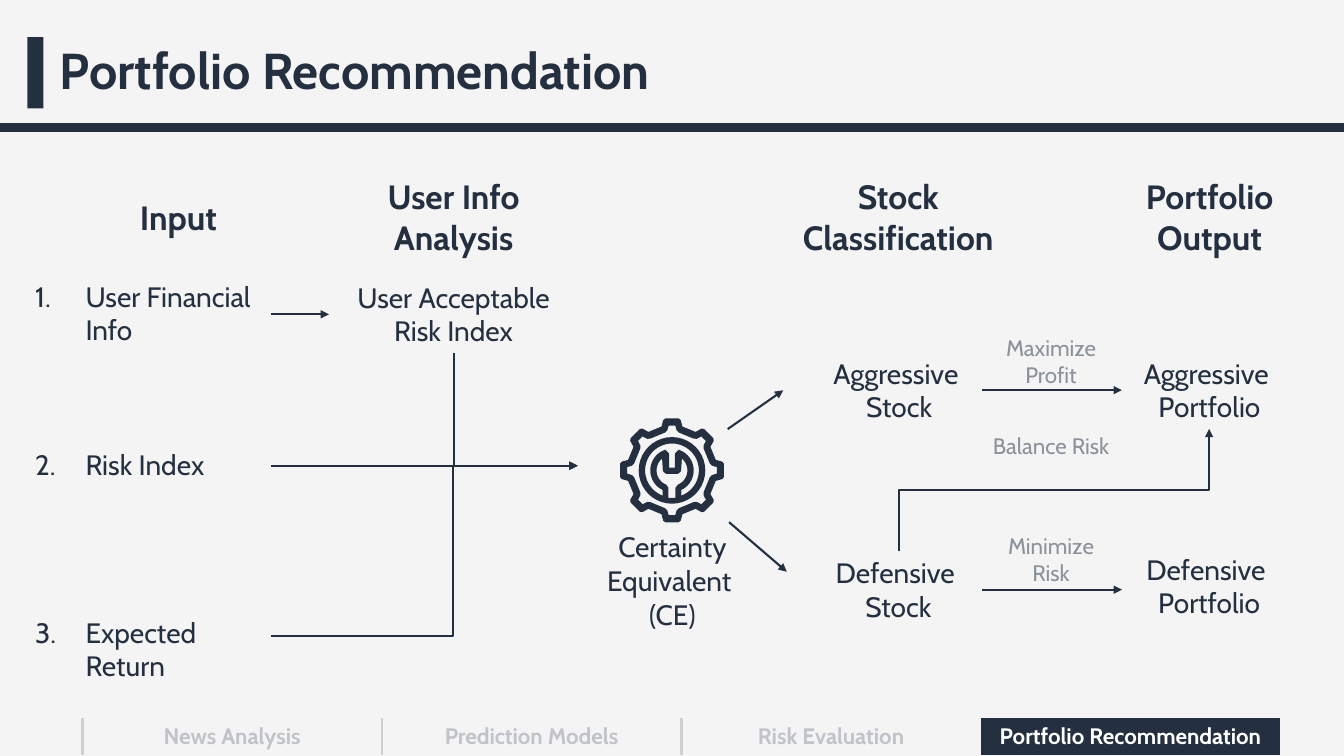
from math import cos, radians, sin

from lxml import etree
from pptx import Presentation
from pptx.dml.color import RGBColor
from pptx.enum.shapes import MSO_CONNECTOR, MSO_SHAPE
from pptx.enum.text import MSO_ANCHOR, MSO_AUTO_SIZE, PP_ALIGN
from pptx.oxml.ns import qn
from pptx.util import Pt

STRAIGHT, ELBOW = MSO_CONNECTOR.STRAIGHT, MSO_CONNECTOR.ELBOW
LEFT, CENTER = PP_ALIGN.LEFT, PP_ALIGN.CENTER
MIDDLE = MSO_ANCHOR.MIDDLE
COLORS = {"navy": "242F40", "background": "F4F4F5", "rule": "D0CECE",
          "faded": "C0C3C8", "note": "8C929A", "white": "FFFFFF"}
RGB = {name: RGBColor.from_string(value) for name, value in COLORS.items()}
FORMATS = {
    "title": {"name": "Cabin", "size": Pt(36), "bold": True},
    "heading": {"name": "Cabin", "size": Pt(24), "bold": True},
    "body": {"name": "Cabin", "size": Pt(20), "bold": False},
    "note": {"name": "Cabin", "size": Pt(16), "bold": False},
    "tab": {"name": "Cabin", "size": Pt(16), "bold": True},
}


def write_paragraph(paragraph, text, style, color="navy", alignment=CENTER):
    paragraph.text = text
    paragraph.alignment = alignment
    for attribute, value in FORMATS[style].items():
        setattr(paragraph.font, attribute, value)
    paragraph.font.color.rgb = RGB[color]


def draw_connector(kind, begin, end, width=1.5, arrow=True):
    connector = slide.shapes.add_connector(kind, *map(Pt, begin + end))
    connector.line.color.rgb = RGB["navy"]
    connector.line.width = Pt(width)
    if arrow:
        etree.SubElement(connector.line._get_or_add_ln(), qn("a:tailEnd"), type="triangle")
    etree.SubElement(connector._element.spPr, qn("a:effectLst"))
    return connector


presentation = Presentation()
presentation.slide_width, presentation.slide_height = Pt(960), Pt(540)
slide = presentation.slides.add_slide(presentation.slide_layouts[5])
slide.background.fill.solid()
slide.background.fill.fore_color.rgb = RGB["background"]

# Header
draw_connector(STRAIGHT, (0, 91), (960, 91), width=6, arrow=False)
title_bar = slide.shapes.add_shape(MSO_SHAPE.RECTANGLE, Pt(19.6), Pt(26.5), Pt(11.4), Pt(51))
title_bar.shadow.inherit = False
title_bar.fill.solid()
title_bar.fill.fore_color.rgb = RGB["navy"]
title_bar.line.fill.background()

title = slide.shapes.title
title.left, title.top, title.width, title.height = Pt(35.5), Pt(28.5), Pt(828), Pt(47)
title.text_frame.auto_size = MSO_AUTO_SIZE.NONE
title.text_frame.vertical_anchor = MIDDLE
write_paragraph(title.text_frame.paragraphs[0], "Portfolio Recommendation", "title", alignment=LEFT)
title.text_frame.paragraphs[0].line_spacing = 0.9

# Section tabs
tabs = ["News Analysis", "Prediction Models", "Risk Evaluation", "Portfolio Recommendation"]
tab_width = 213.9
tab_frame = slide.shapes.add_table(1, len(tabs), Pt(58.9), Pt(512.8), Pt(tab_width * len(tabs)), Pt(26.7))
tab_table = tab_frame.table
tab_table.first_row = tab_table.horz_banding = False
for index, name in enumerate(tabs):
    tab_table.columns[index].width = Pt(tab_width)
    cell = tab_table.cell(0, index)
    current = name == tabs[-1]
    cell.vertical_anchor = MIDDLE
    write_paragraph(cell.text_frame.paragraphs[0], name, "tab", "white" if current else "faded")
    if current:
        cell.fill.solid()
        cell.fill.fore_color.rgb = RGB["navy"]
    else:
        cell.fill.background()
    properties = cell._tc.get_or_add_tcPr()
    for position, side in enumerate(("lnL", "lnR", "lnT", "lnB")):
        border = etree.Element(qn(f"a:{side}"), w=str(Pt(2.25)))
        if side == "lnL" and not current:
            fill = etree.SubElement(border, qn("a:solidFill"))
            etree.SubElement(fill, qn("a:srgbClr"), val=COLORS["rule"])
        else:
            etree.SubElement(border, qn("a:noFill"))
        properties.insert(position, border)

# Labels: paragraphs, style, left, top, width, height
labels = [
    (["Input"], "heading", 47.5, 136.8, 160, 36),
    (["User Info Analysis"], "heading", 244, 122.4, 160, 65.5),
    (["Stock Classification"], "heading", 561.6, 122.4, 160, 65.5),
    (["Portfolio", "Output"], "heading", 784, 122.4, 160, 65.5),
    (["User Acceptable Risk Index"], "body", 244, 196.6, 160, 55.4),
    (["Aggressive ", "Stock"], "body", 583.2, 251, 118, 55.4),
    (["Defensive ", "Stock"], "body", 589.5, 393.5, 104.5, 55.4),
    (["Aggressive ", "Portfolio"], "body", 801.4, 251, 125, 55.4),
    (["Defensive ", "Portfolio"], "body", 805, 391, 117.4, 55.4),
    (["Certainty Equivalent ", "(CE)"], "body", 400.3, 375, 160, 80),
    (["Maximize Profit"], "note", 701.5, 235.4, 98.6, 46),
    (["Balance Risk"], "note", 701.5, 305, 98.6, 46),
    (["Minimize Risk"], "note", 701.5, 376.4, 98.6, 46),
]
boxes = {}
for lines, style, *place in labels:
    box = slide.shapes.add_textbox(*map(Pt, place))
    frame = box.text_frame
    frame.word_wrap = True
    for index, line in enumerate(lines):
        paragraph = frame.add_paragraph() if index else frame.paragraphs[0]
        write_paragraph(paragraph, line, style, "note" if style == "note" else "navy")
    boxes["".join(lines)] = box

# Numbered inputs
input_frame = slide.shapes.add_textbox(Pt(18), Pt(195.8), Pt(176.4), Pt(298)).text_frame
input_frame.word_wrap = True
inputs = [("User Financial Info", 0), ("Risk Index", 72), ("Expected Return", 96)]
for index, (text, gap) in enumerate(inputs):
    paragraph = input_frame.add_paragraph() if index else input_frame.paragraphs[0]
    properties = paragraph._p.get_or_add_pPr()
    properties.set("marL", str(Pt(36)))
    properties.set("indent", str(Pt(-36)))
    etree.SubElement(properties, qn("a:buFont"), typeface="+mj-lt")
    etree.SubElement(properties, qn("a:buAutoNum"), type="arabicPeriod")
    write_paragraph(paragraph, text, "body", alignment=LEFT)
    paragraph.space_before = Pt(gap)

# Straight arrows
for begin, end in [
    ((193.8, 224.5), (235, 224.5)),
    ((193.8, 332.6), (412.6, 332.6)),
    ((519.8, 306.5), (559.5, 278.8)),
    ((520.8, 373), (562, 408.4)),
    ((701.5, 421.2), (801.4, 421.2)),
]:
    draw_connector(STRAIGHT, begin, end)
profit_arrow = draw_connector(STRAIGHT, (701.2, 278.7), (801.4, 278.7))
profit_arrow.begin_connect(boxes["Aggressive Stock"], 3)
profit_arrow.end_connect(boxes["Aggressive Portfolio"], 1)

# Elbow arrows: ends before turning, preset, turn in degrees, place of the bend
for begin, end, preset, turn, bend in [
    ((408.6, 248.2), (328, 336.8), "bentConnector2", 270, None),
    ((193.8, 454.4), (412.6, 332.6), "bentConnector3", 0, 0.594),
    ((796.3, 460.8), (709.2, 239), "bentConnector3", 90, 0.5),
]:
    elbow = draw_connector(ELBOW, begin, end)
    shape_properties = elbow._element.spPr
    shape_properties.find(qn("a:xfrm")).set("rot", str(turn * 60000))
    geometry = shape_properties.find(qn("a:prstGeom"))
    geometry.set("prst", preset)
    if bend is not None:
        etree.SubElement(geometry.find(qn("a:avLst")), qn("a:gd"),
                         name="adj1", fmla=f"val {round(bend * 100000)}")

# Gear icon: points relative to its centre
center_x, center_y = 480, 336
gear_contours = []
for half_tooth in ([(7.5, -31.3), (6.2, -36), (4.7, -37.1)],
                   [(5, -27), (3.4, -28.5), (2.3, -32)]):
    tooth = [(-x, y) for x, y in half_tooth] + half_tooth[::-1]
    gear_contours.append([
        (x * cos(angle) - y * sin(angle), x * sin(angle) + y * cos(angle))
        for angle in (radians(45 * turn) for turn in range(8)) for x, y in tooth])

arcs = []
for radius, start, end in [(23.8, 0, 360), (19.2, -160, 160), (15.5, 154, 18),
                           (15.5, -18, -154), (11, 40, 158), (11, -158, -40)]:
    angles = [radians(start + (end - start) * step / 40) for step in range(41)]
    arcs.append([(radius * sin(angle), -radius * cos(angle)) for angle in angles])
disc, ring, right_edge, left_edge, right_body, left_body = arcs
jaw = [(2, -12), (2, -2), (-2, -2), (-2, -12)]
handle = [(2.5, 12.5), (2.5, 19.7), (-2.5, 19.7), (-2.5, 12.5)]
throat = [(-6.5, 0.5), (-4.3, 2.5), (4.3, 2.5), (6.5, 0.5)]
wrench_contours = [disc, ring + right_edge + jaw + left_edge,
                   right_body + handle + left_body + throat]

for contours in (gear_contours, wrench_contours):
    builder = None
    for contour in contours:
        first, *rest = [(Pt(center_x + x), Pt(center_y + y)) for x, y in contour]
        if builder is None:
            builder = slide.shapes.build_freeform(*first)
        else:
            builder.move_to(*first)
        builder.add_line_segments(rest, close=True)
    icon = builder.convert_to_shape()
    icon.shadow.inherit = False
    icon.fill.solid()
    icon.fill.fore_color.rgb = RGB["navy"]
    icon.line.fill.background()

presentation.save("out.pptx")
